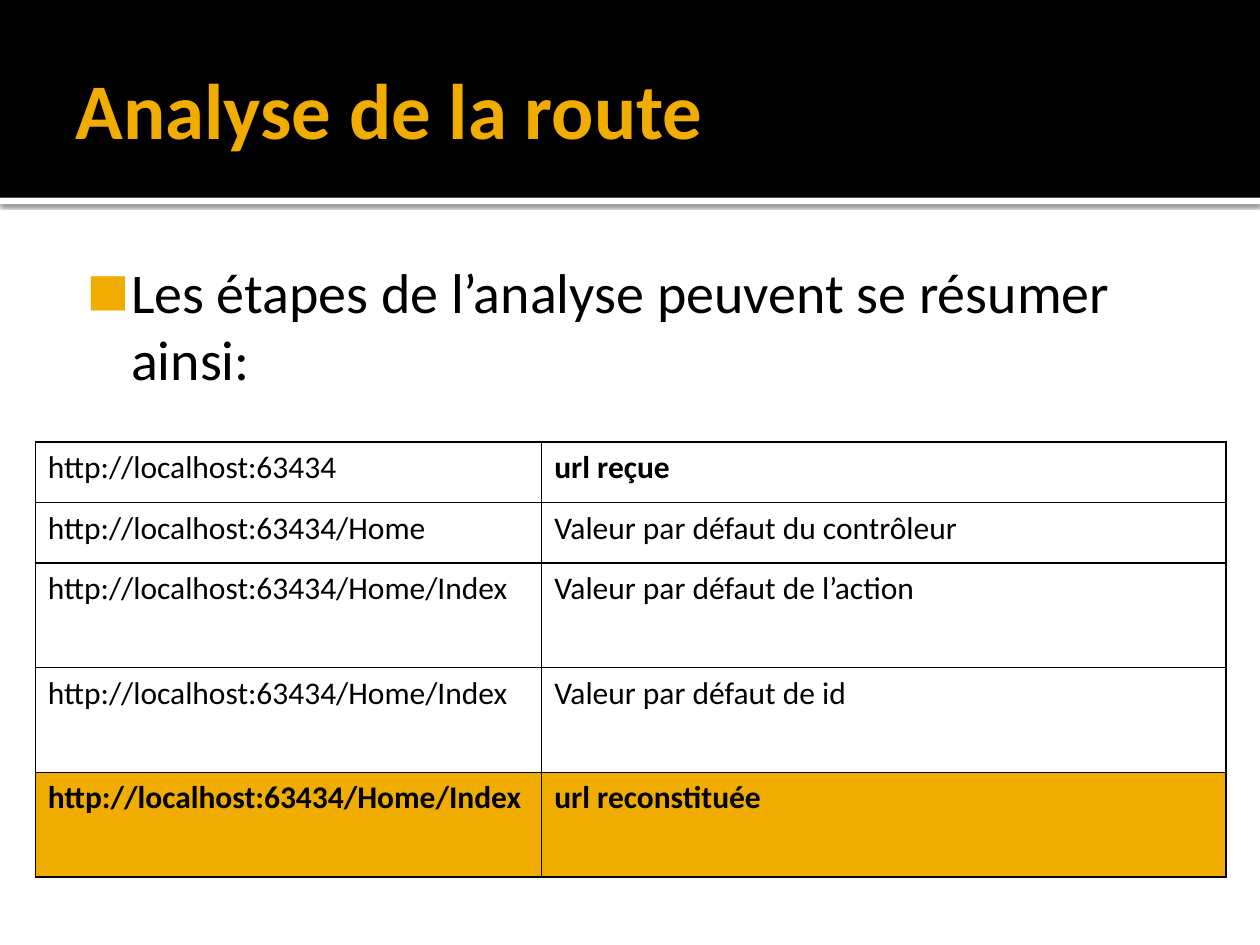
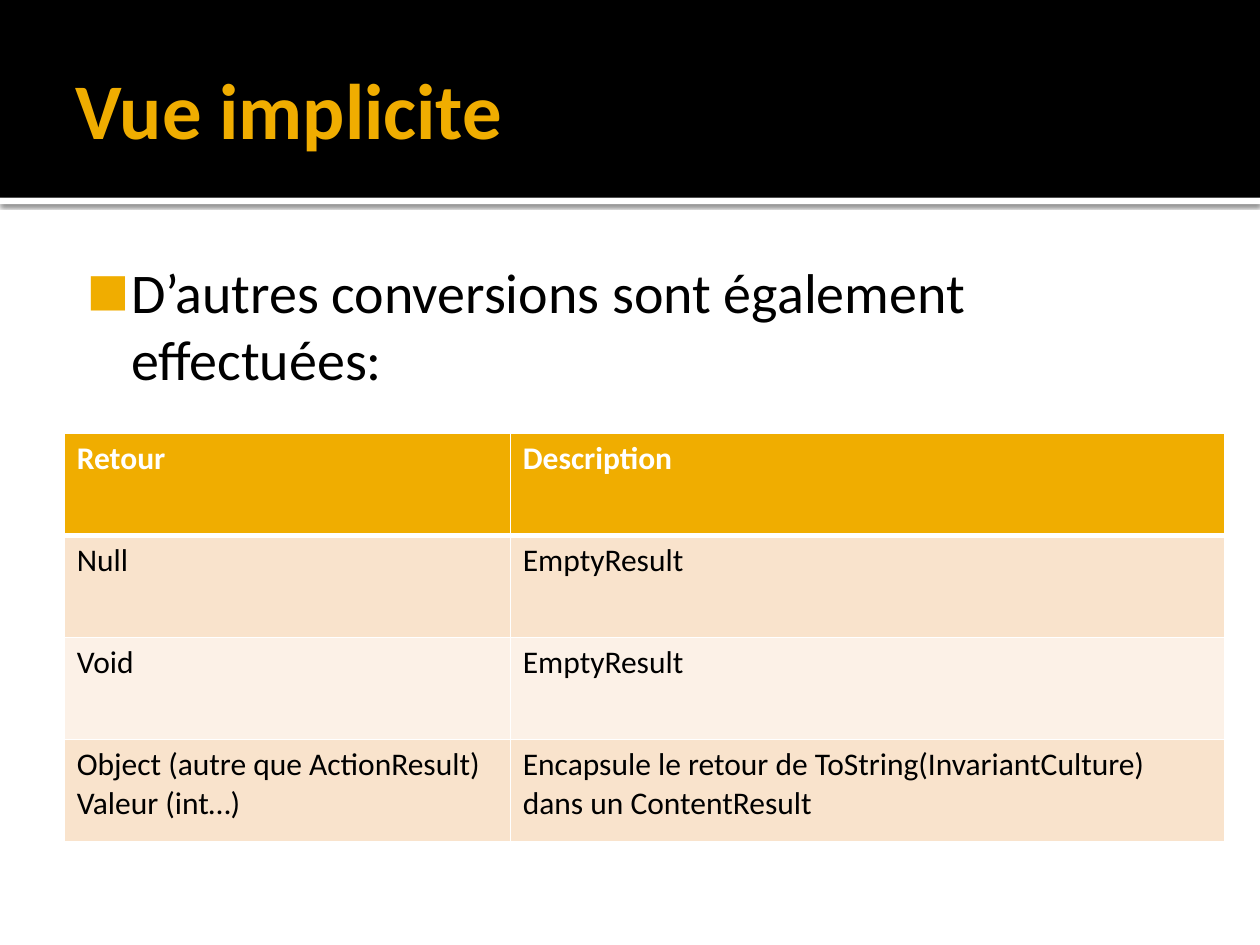
from lxml import etree
from pptx import Presentation
from pptx import util as u
from pptx.dml.color import RGBColor
from pptx.enum import shapes, text
from pptx.oxml import parse_xml
from pptx.oxml.ns import nsdecls, qn

# Shared style
FONT = "Calibri"
AMBER, BLACK, WHITE = "F0AD00", "000000", "FFFFFF"
PEACH, CREAM = "F9E3CC", "FCF1E7"
BAND_HEIGHT, RULE_HEIGHT = 1.57, 0.05

# Content
ROUTE_URL = "http://localhost:63434"
SLIDES = [
    {
        "title": "Analyse de la route",
        "body": "Les étapes de l’analyse peuvent se résumer ainsi:",
        "body_height": 1.34,
        "table": {
            "at": (0.28, 3.51),
            "columns": (4.02, 5.43),
            "row_heights": (0.48, 0.48, 0.83, 0.83, 0.83),
            "rows": [
                (ROUTE_URL, "url reçue"),
                (ROUTE_URL + "/Home", "Valeur par défaut du contrôleur"),
                (ROUTE_URL + "/Home/Index", "Valeur par défaut de l’action"),
                (ROUTE_URL + "/Home/Index", "Valeur par défaut de id"),
                (ROUTE_URL + "/Home/Index", "url reconstituée"),
            ],
            "fills": (None, None, None, None, AMBER),
            "bold_cells": {(0, 1), (4, 0), (4, 1)},
            "border": BLACK,
            "header": False,
        },
    },
    {
        "title": "Vue implicite",
        "body": "D’autres conversions sont également effectuées:",
        "body_height": 1.18,
        "table": {
            "at": (0.51, 3.44),
            "columns": (3.54, 5.67),
            "row_heights": (0.81,) * 4,
            "rows": [
                ("Retour", "Description"),
                ("Null", "EmptyResult"),
                ("Void", "EmptyResult"),
                ("Object (autre que ActionResult)\nValeur (int…)",
                 "Encapsule le retour de ToString(InvariantCulture) dans un ContentResult"),
            ],
            "fills": (AMBER, PEACH, CREAM, PEACH),
            "bold_cells": {(0, 0), (0, 1)},
            "border": WHITE,
            "header": True,
        },
    },
]


def color(hex_value):
    return RGBColor.from_string(hex_value)


def write_text(frame, content, size=18, fill=BLACK, bold=False):
    """Write one paragraph per line of content, in the given format."""
    for index, line in enumerate(content.split("\n")):
        paragraph = frame.paragraphs[0] if index == 0 else frame.add_paragraph()
        paragraph.alignment = text.PP_ALIGN.LEFT
        paragraph.space_before = u.Pt(0)
        run = paragraph.add_run()
        run.text = line
        run.font.name, run.font.size, run.font.bold = FONT, u.Pt(size), bold
        run.font.color.rgb = color(fill)


def place(shape, left, top, width, height):
    shape.left, shape.top = u.Inches(left), u.Inches(top)
    shape.width, shape.height = u.Inches(width), u.Inches(height)


def set_frame(frame, anchor, left, top, right, bottom):
    frame.word_wrap = True
    frame.auto_size = text.MSO_AUTO_SIZE.NONE
    frame.vertical_anchor = anchor
    frame.margin_left, frame.margin_top = u.Inches(left), u.Inches(top)
    frame.margin_right, frame.margin_bottom = u.Inches(right), u.Inches(bottom)


def add_band(slide, top, height, fill):
    """Add a full-width band behind the title."""
    band = slide.shapes.add_shape(shapes.MSO_SHAPE.RECTANGLE, 0, u.Inches(top),
                                  u.Inches(10), u.Inches(height))
    band.shadow.inherit = False
    band.fill.solid()
    band.fill.fore_color.rgb = color(fill)
    band.line.fill.background()
    slide.shapes.title.element.addprevious(band.element)
    return band


def add_header(slide):
    rule = add_band(slide, BAND_HEIGHT, RULE_HEIGHT, WHITE)
    effects = rule.element.spPr.find(qn("a:effectLst"))
    effects.append(parse_xml(
        f'<a:outerShdw {nsdecls("a")} blurRad="{u.Pt(2.5)}" dist="{u.Pt(0.8)}" dir="5400000" '
        f'algn="t" rotWithShape="0"><a:srgbClr val="{BLACK}"><a:alpha val="60000"/>'
        '</a:srgbClr></a:outerShdw>'))
    add_band(slide, 0, BAND_HEIGHT, BLACK)


def add_title(slide, content):
    title = slide.shapes.title
    place(title, 0.5, 0.17, 9, 1.37)
    set_frame(title.text_frame, text.MSO_ANCHOR.MIDDLE, 0.1, 0.05, 0.05, 0.05)
    write_text(title.text_frame, content, size=45, fill=AMBER, bold=True)


def add_body(slide, content, height):
    body = slide.placeholders[1]
    place(body, 0.5, 1.94, 9, height)
    set_frame(body.text_frame, text.MSO_ANCHOR.TOP, 0.06, 0.1, 0.1, 0.05)
    write_text(body.text_frame, content, size=32)
    for paragraph in body.text_frame.paragraphs:
        properties = paragraph._p.get_or_add_pPr()
        properties.set("marL", str(u.Inches(0.48)))
        properties.set("indent", str(u.Inches(-0.35)))
        bullet_color = etree.SubElement(properties, qn("a:buClr"))
        etree.SubElement(bullet_color, qn("a:srgbClr"), val=AMBER)
        etree.SubElement(properties, qn("a:buSzPct"), val="80000")
        etree.SubElement(properties, qn("a:buFont"), typeface=FONT)
        etree.SubElement(properties, qn("a:buChar"), char="■")


def set_borders(cell, hex_value, top=1, bottom=1):
    properties = cell._tc.get_or_add_tcPr()
    widths = {"lnL": 1, "lnR": 1, "lnT": top, "lnB": bottom}
    for position, (side, width) in enumerate(widths.items()):
        properties.insert(position, parse_xml(
            f'<a:{side} {nsdecls("a")} w="{u.Pt(width)}"><a:solidFill>'
            f'<a:srgbClr val="{hex_value}"/></a:solidFill></a:{side}>'))


def add_table(slide, at, columns, row_heights, rows, fills, bold_cells, border, header):
    left, top = at
    table = slide.shapes.add_table(
        len(rows), len(columns), u.Inches(left), u.Inches(top),
        u.Inches(sum(columns)), u.Inches(sum(row_heights))).table
    table.first_row = header
    table.horz_banding = False
    for column, width in zip(table.columns, columns):
        column.width = u.Inches(width)
    for row_index, row in enumerate(rows):
        table.rows[row_index].height = u.Inches(row_heights[row_index])
        is_header = header and row_index == 0
        for column_index, content in enumerate(row):
            cell = table.cell(row_index, column_index)
            write_text(cell.text_frame, content, fill=WHITE if is_header else BLACK,
                       bold=(row_index, column_index) in bold_cells)
            if fills[row_index]:
                cell.fill.solid()
                cell.fill.fore_color.rgb = color(fills[row_index])
            else:
                cell.fill.background()
            # A thick line parts the header from the first row
            set_borders(cell, border, top=3 if header and row_index == 1 else 1,
                        bottom=3 if is_header else 1)


def main():
    presentation = Presentation()
    presentation.slide_width, presentation.slide_height = u.Inches(10), u.Inches(7.5)
    for content in SLIDES:
        slide = presentation.slides.add_slide(presentation.slide_layouts[1])
        add_header(slide)
        add_title(slide, content["title"])
        add_body(slide, content["body"], content["body_height"])
        add_table(slide, **content["table"])
    presentation.save("out.pptx")


if __name__ == "__main__":
    main()
